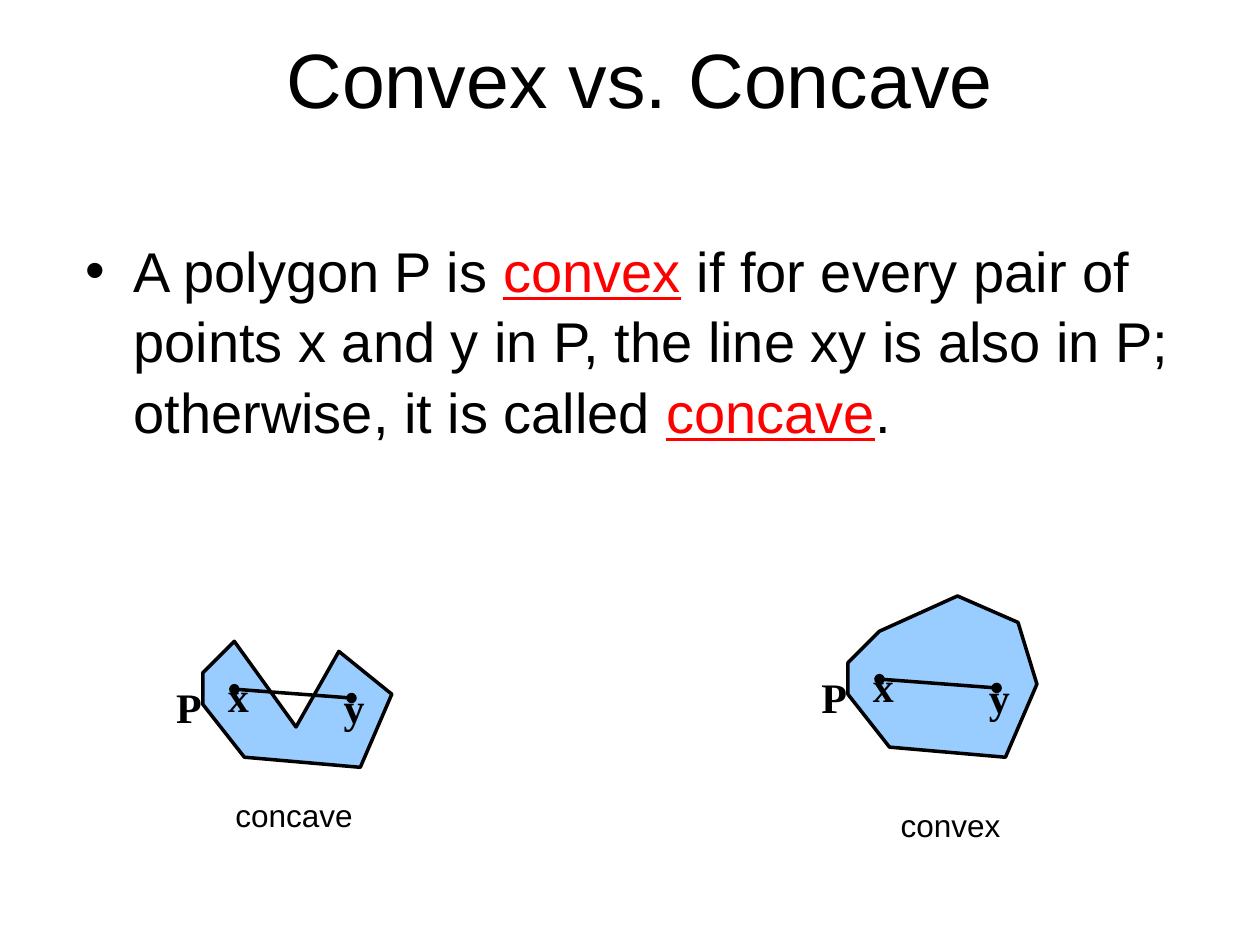
from dataclasses import dataclass

from lxml.etree import SubElement
from pptx import Presentation
from pptx.dml.color import RGBColor
from pptx.enum.shapes import MSO_CONNECTOR
from pptx.enum.text import MSO_ANCHOR, MSO_AUTO_SIZE, PP_ALIGN
from pptx.oxml.ns import qn
from pptx.util import Inches, Pt

# The slide is a grid of 1000 columns by 750 rows of square cells.
COLS, ROWS = 1000, 750
CELL = Inches(10) // COLS
BLACK, RED, BLUE = "000000", "FF0000", "99CCFF"
SANS, SERIF = "Arial", "Times New Roman"

Point = tuple[int, int]
Box = tuple[int, int, int, int]

# Offsets from a figure's origin, shared by both polygons
BASE: list[Point] = [(125, 62), (33, 54), (0, 12), (0, -13), (25, -38)]
CHORD: tuple[Point, Point] = ((25, 0), (118, 7))


@dataclass
class Label:
    text: str
    box: Box


@dataclass
class Figure:
    origin: Point
    top: list[Point]
    caption: Label


MARKS = [
    Label("x", (10, -20, 36, 50)),
    Label("y", (102, -11, 36, 50)),
    Label("P", (-31, -11, 40, 50)),
]
FIGURES = [
    Figure((161, 547), [(74, 30), (108, -30), (150, 4)],
           Label("concave", (16, 80, 113, 40))),
    Figure((673, 539), [(87, -66), (135, -45), (150, 4)],
           Label("convex", (32, 96, 99, 40))),
]


def color(code: str) -> RGBColor:
    return RGBColor.from_string(code)


def style(run, size: int, face: str = SANS, code: str = BLACK,
          bold: bool = False) -> None:
    font = run.font
    font.size, font.name, font.bold = Pt(size), face, bold
    font.color.rgb = color(code)


def shift(origin: Point, point: Point) -> Point:
    return origin[0] + point[0], origin[1] + point[1]


def place(shape, box: Box) -> None:
    shape.left, shape.top, shape.width, shape.height = (n * CELL for n in box)


def write(shapes, origin: Point, label: Label, size: int, face: str,
          bold: bool) -> None:
    spot = shift(origin, label.box[:2])
    area = (*spot, *label.box[2:])
    frame = shapes.add_textbox(*(n * CELL for n in area)).text_frame
    frame.text = label.text
    frame.word_wrap = False
    frame.auto_size = MSO_AUTO_SIZE.SHAPE_TO_FIT_TEXT
    style(frame.paragraphs[0].runs[0], size, face, bold=bold)


def outline(shape) -> None:
    shape.line.color.rgb = color(BLACK)
    shape.line.width = Pt(2)


def draw(shapes, figure: Figure) -> None:
    group = shapes.add_group_shape().shapes
    points = [shift(figure.origin, p) for p in BASE + figure.top]
    path = group.build_freeform(*points[0], scale=CELL)
    path.add_line_segments(points[1:], close=True)
    shape = path.convert_to_shape()
    shape.shadow.inherit = False
    shape.fill.solid()
    shape.fill.fore_color.rgb = color(BLUE)
    outline(shape)

    start, end = (shift(figure.origin, p) for p in CHORD)
    chord = group.add_connector(MSO_CONNECTOR.STRAIGHT,
                                *(n * CELL for n in start + end))
    outline(chord)
    for tag in ("a:headEnd", "a:tailEnd"):
        SubElement(chord.line._get_or_add_ln(), qn(tag), type="oval")
    SubElement(chord._element.spPr, qn("a:effectLst"))

    for mark in MARKS:
        write(group, figure.origin, mark, 24, SERIF, True)
    write(shapes, figure.origin, figure.caption, 18, SANS, False)


def head(title) -> None:
    place(title, (58, 33, 883, 58))
    frame = title.text_frame
    frame.text = " Convex vs. Concave"
    frame.auto_size = MSO_AUTO_SIZE.NONE
    frame.vertical_anchor = MSO_ANCHOR.MIDDLE
    para = frame.paragraphs[0]
    para.alignment = PP_ALIGN.CENTER
    style(para.runs[0], 44)


def define(body) -> None:
    """Fill the body with the definition, its two terms stressed."""
    place(body, (58, 180, 883, 520))
    frame = body.text_frame
    frame.auto_size = MSO_AUTO_SIZE.NONE
    para = frame.paragraphs[0]
    para.space_before = Pt(8)
    para.line_spacing = 1.05
    props = para._p.get_or_add_pPr()
    props.set("marL", str(38 * CELL))
    props.set("indent", str(-38 * CELL))
    SubElement(props, qn("a:buChar"), char="•")
    parts = [
        ("A polygon P is ", False),
        ("convex", True),
        (" if for every pair of points x and y in P, the line xy is also"
         " in P; otherwise, it is called ", False),
        ("concave", True),
        (".", False),
    ]
    for text, term in parts:
        run = para.add_run()
        run.text = text
        style(run, 32, code=RED if term else BLACK)
        run.font.underline = term


def main() -> None:
    deck = Presentation()
    deck.slide_width, deck.slide_height = COLS * CELL, ROWS * CELL
    slide = deck.slides.add_slide(deck.slide_layouts[1])
    head(slide.shapes.title)
    define(slide.placeholders[1])
    for figure in FIGURES:
        draw(slide.shapes, figure)
    deck.save("out.pptx")


if __name__ == "__main__":
    main()
